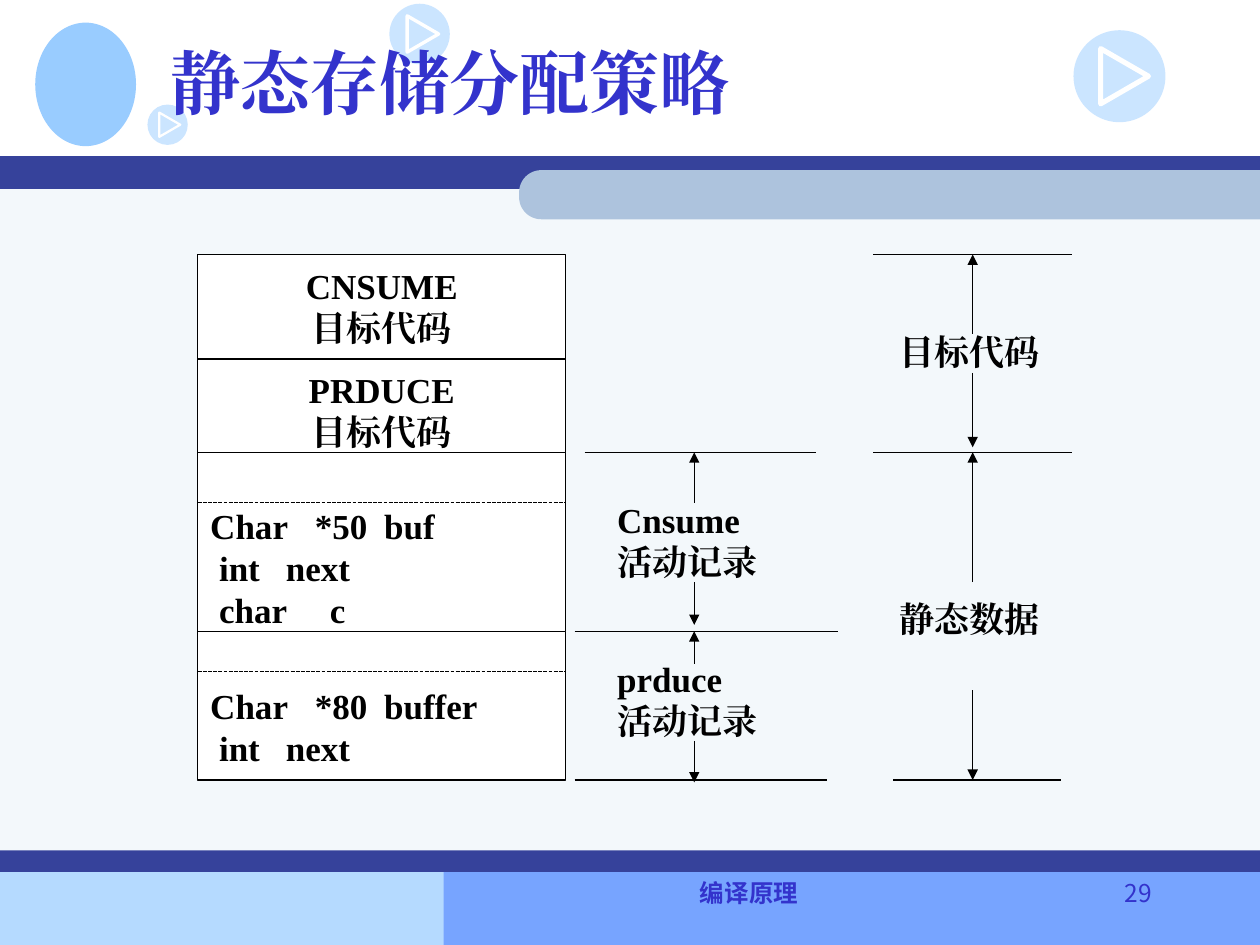
from lxml import etree
from pptx import Presentation
from pptx.dml.color import RGBColor
from pptx.enum.dml import MSO_LINE
from pptx.enum.shapes import MSO_CONNECTOR, MSO_SHAPE
from pptx.enum.text import MSO_ANCHOR, MSO_AUTO_SIZE, PP_ALIGN
from pptx.oxml.ns import qn
from pptx.util import Inches, Pt

RECTANGLE = MSO_SHAPE.RECTANGLE
OVAL = MSO_SHAPE.OVAL
TRIANGLE = MSO_SHAPE.ISOSCELES_TRIANGLE
ROUND_END = MSO_SHAPE.ROUND_2_SAME_RECTANGLE
STRAIGHT = MSO_CONNECTOR.STRAIGHT
DOTTED = MSO_LINE.SQUARE_DOT
TOP, MIDDLE = MSO_ANCHOR.TOP, MSO_ANCHOR.MIDDLE
LEFT, CENTER, RIGHT = PP_ALIGN.LEFT, PP_ALIGN.CENTER, PP_ALIGN.RIGHT
NO_AUTOFIT = MSO_AUTO_SIZE.NONE

COLORS = {
    "white": "FFFFFF", "black": "000000", "title": "3333CC",
    "band": "36429B", "tab": "ADC3DD", "body": "F3F8FB",
    "footer_left": "B5DAFF", "footer_right": "77A4FF", "badge": "99CCFF",
}
SERIF, SANS = "Times New Roman", "Noto Sans CJK KR"


class SlideBuilder:
    def __init__(self, slide):
        self.slide = slide
        self.line_width = Pt(0.75)

    def color(self, name):
        return RGBColor.from_string(COLORS[name])

    def shape(self, kind, left, top, width, height, fill=None, line=None, rotation=0):
        shape = self.slide.shapes.add_shape(
            kind, Inches(left), Inches(top), Inches(width), Inches(height))
        shape.shadow.inherit = False
        shape.rotation = rotation
        if fill:
            shape.fill.solid()
            shape.fill.fore_color.rgb = self.color(fill)
        else:
            shape.fill.background()
        if line:
            shape.line.color.rgb = self.color(line)
            shape.line.width = self.line_width
        else:
            shape.line.fill.background()
        return shape

    def badge(self, left, top, size):
        """Half-transparent disc with an outlined triangle pointing right."""
        disc = self.shape(OVAL, left, top, size, size, "badge")
        color = disc.element.spPr.find(".//" + qn("a:srgbClr"))
        etree.SubElement(color, qn("a:alpha"), val="50000")
        base, depth = size * 0.6, size * 0.52
        triangle = self.shape(
            TRIANGLE, left + size * 0.555 - base / 2, top + (size - depth) / 2,
            base, depth, line="white", rotation=90)
        triangle.line.width = Pt(size * 4)

    def line(self, start, end, arrow=False, dash=None):
        connector = self.slide.shapes.add_connector(
            STRAIGHT, *(Inches(value) for value in (*start, *end)))
        connector.line.color.rgb = self.color("black")
        connector.line.width = self.line_width
        if dash:
            connector.line.dash_style = dash
        properties = connector.element.spPr
        if arrow:
            etree.SubElement(properties.find(qn("a:ln")), qn("a:tailEnd"),
                             type="triangle")
        etree.SubElement(properties, qn("a:effectLst"))

    def add_lines(self, shape, lines, size=20, font=SERIF, color="black", bold=True,
                  align=LEFT, anchor=TOP, wrap=True):
        """Each line is a string, or (text, indent, tab stops)."""
        frame = shape.text_frame
        frame.auto_size = NO_AUTOFIT
        frame.word_wrap = wrap
        frame.vertical_anchor = anchor
        for number, line in enumerate(lines):
            text, indent, stops = (line, 0, ()) if isinstance(line, str) else line
            paragraph = frame.add_paragraph() if number else frame.paragraphs[0]
            paragraph.alignment = align
            properties = paragraph._p.get_or_add_pPr()
            if indent:
                properties.set("marL", str(Inches(indent)))
            if stops:
                tabs = etree.SubElement(properties, qn("a:tabLst"))
                for stop in stops:
                    etree.SubElement(tabs, qn("a:tab"), pos=str(Inches(stop)), algn="l")
            run = paragraph.add_run()
            run.text = text
            run.font.size = Pt(size)
            run.font.bold = bold
            run.font.name = font
            run.font.color.rgb = self.color(color)
            etree.SubElement(run._r.get_or_add_rPr(), qn("a:ea"), typeface=font)

    def text(self, left, top, width, height, lines, **style):
        box = self.slide.shapes.add_textbox(
            Inches(left), Inches(top), Inches(width), Inches(height))
        self.add_lines(box, lines, **style)

    def title(self, left, top, width, height, text):
        title = self.slide.shapes.title
        title.left, title.top = Inches(left), Inches(top)
        title.width, title.height = Inches(width), Inches(height)
        self.add_lines(title, [text], size=40, color="title", anchor=MIDDLE)
        self.slide.shapes.element.append(title.element)  # in front of the badges


def main():
    presentation = Presentation()
    presentation.slide_width, presentation.slide_height = Inches(10), Inches(7.5)
    slide = presentation.slides.add_slide(presentation.slide_layouts[5])
    builder = SlideBuilder(slide)

    # Background bands
    for left, top, width, height, fill in (
        (0, 6.92, 4.25, 0.58, "footer_left"),
        (3.52, 6.91, 6.48, 0.59, "footer_right"),
        (0, 1.4, 10, 5.51, "body"),
        (0, 1.24, 10, 0.26, "band"),
        (0, 6.75, 10, 0.17, "band"),
    ):
        builder.shape(RECTANGLE, left, top, width, height, fill)

    # Tab with rounded left end: a tall shape turned on its side
    tab_left, tab_top, tab_length, tab_height = 4.12, 1.35, 5.88, 0.39
    tab = builder.shape(
        ROUND_END, tab_left + (tab_length - tab_height) / 2,
        tab_top + (tab_height - tab_length) / 2, tab_height, tab_length, "tab",
        rotation=270)
    tab.adjustments[0] = 0.45

    # Emblem stand-in and badges
    builder.shape(OVAL, 0.28, 0.18, 0.8, 0.98, "badge")
    for badge in ((3.09, 0.03, 0.48), (8.52, 0.24, 0.73), (1.17, 0.83, 0.32)):
        builder.badge(*badge)

    builder.title(1.25, 0.06, 8.5, 1.17, "静态存储分配策略")

    # Memory blocks: top, height, lines, top inset, divider, alignment
    block_left, block_width = 1.57, 2.92
    for top, height, lines, inset, divider, align in (
        (2.02, 0.83, ["CNSUME", "目标代码"], 0.05, None, CENTER),
        (2.85, 0.82, ["PRDUCE", "目标代码"], 0.05, None, CENTER),
        (3.59, 1.5, [("Char\t*50\tbuf", 0, (0.83, 1.38)), ("int\tnext", 0.07, (0.53,)),
                     ("char\tc", 0.07, (0.88,))], 0.38, 3.99, LEFT),
        (5.01, 1.18, [("Char\t*80\tbuffer", 0, (0.83, 1.38)),
                      ("int\tnext", 0.07, (0.53,))], 0.38, 5.33, LEFT),
    ):
        block = builder.shape(RECTANGLE, block_left, top, block_width, height,
                              "white", "black")
        block.text_frame.margin_top = Inches(inset)
        builder.add_lines(block, lines, align=align, anchor=MIDDLE, wrap=False)
        if divider:
            builder.line((block_left, divider), (block_left + block_width, divider),
                         dash=DOTTED)

    # Boundary lines of the two dimension columns
    for left, right, y in (
        (4.64, 6.48, 3.59), (4.56, 6.65, 5.01), (4.56, 6.56, 6.19),
        (6.93, 8.51, 2.02), (6.93, 8.51, 3.59), (7.09, 8.42, 6.19),
    ):
        builder.line((left, y), (right, y))

    # Labels
    builder.text(4.8, 3.91, 1.45, 0.77, ["Cnsume", "活动记录"])
    builder.text(4.8, 5.17, 1.52, 0.77, ["prduce", "活动记录"])
    builder.text(6.61, 2.57, 2.17, 0.44, ["目标代码"], align=CENTER)
    builder.text(6.61, 4.69, 2.17, 0.44, ["静态数据"], align=CENTER)

    # Arrows pointing away from each label
    record_x, section_x = 5.51, 7.72
    for x, up_start, up_end, down_start, down_end in (
        (record_x, 3.99, 3.59, 4.62, 4.96),
        (record_x, 5.27, 5.01, 5.88, 6.21),
        (section_x, 2.65, 2.02, 2.96, 3.55),
        (section_x, 4.62, 3.59, 5.48, 6.19),
    ):
        builder.line((x, up_start), (x, up_end), arrow=True)
        builder.line((x, down_start), (x, down_end), arrow=True)

    # Footer
    footer = {"size": 14, "font": SANS, "color": "title"}
    builder.text(3.42, 6.92, 5.05, 0.5, ["编译原理"], align=CENTER, **footer)
    builder.text(8.46, 6.92, 0.78, 0.5, ["29"], align=RIGHT, bold=False, **footer)

    presentation.save("out.pptx")


if __name__ == "__main__":
    main()
